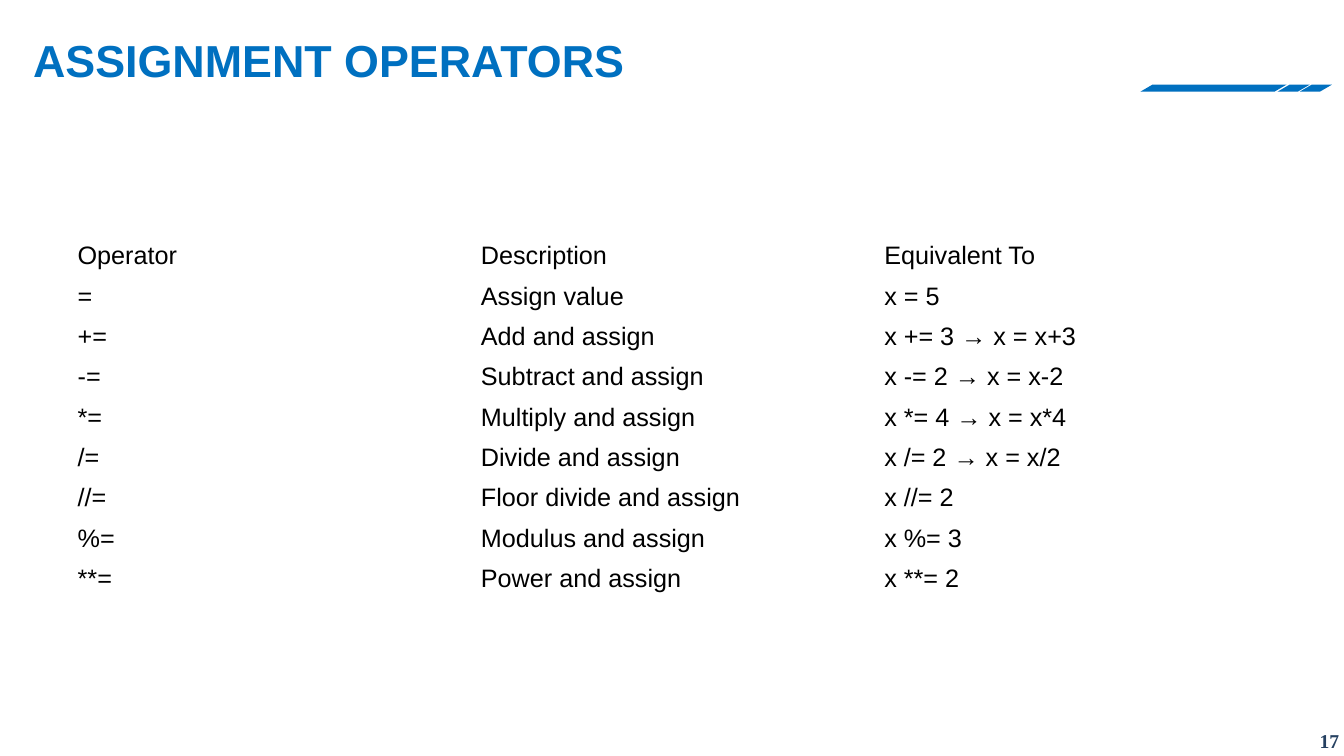
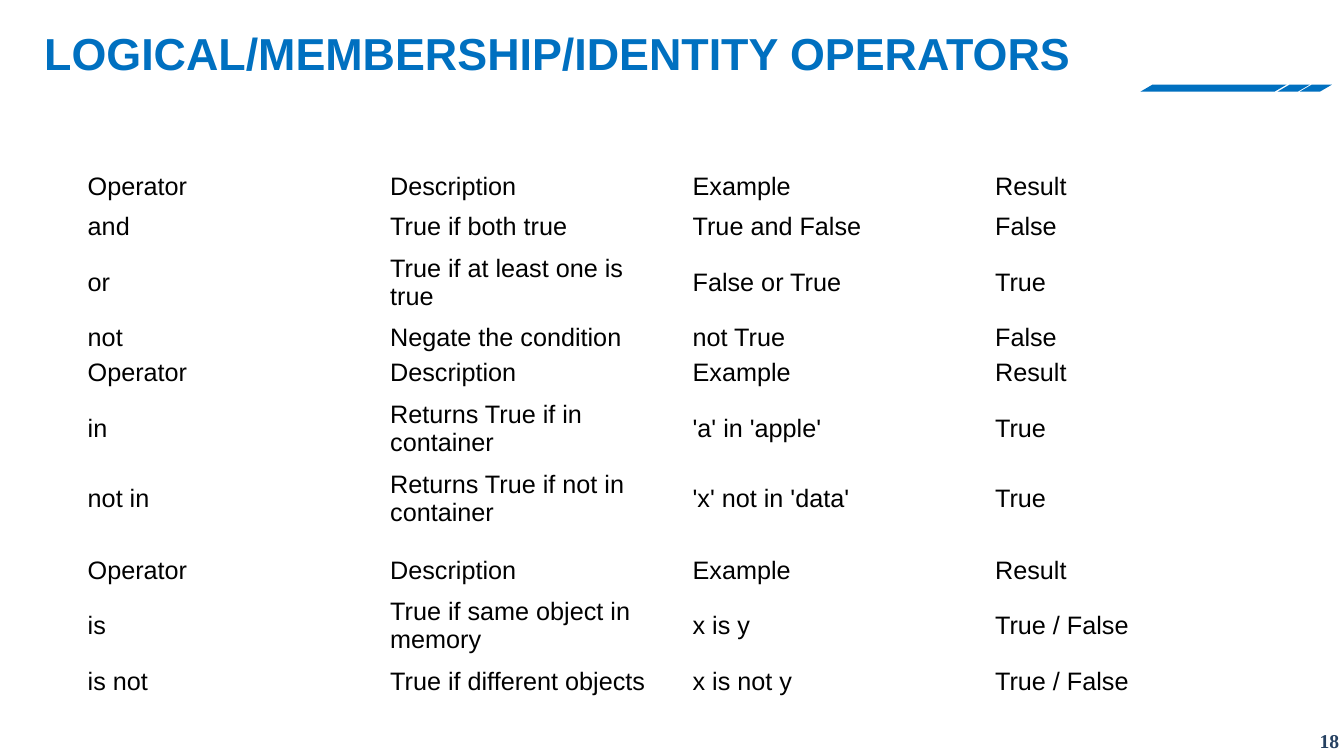
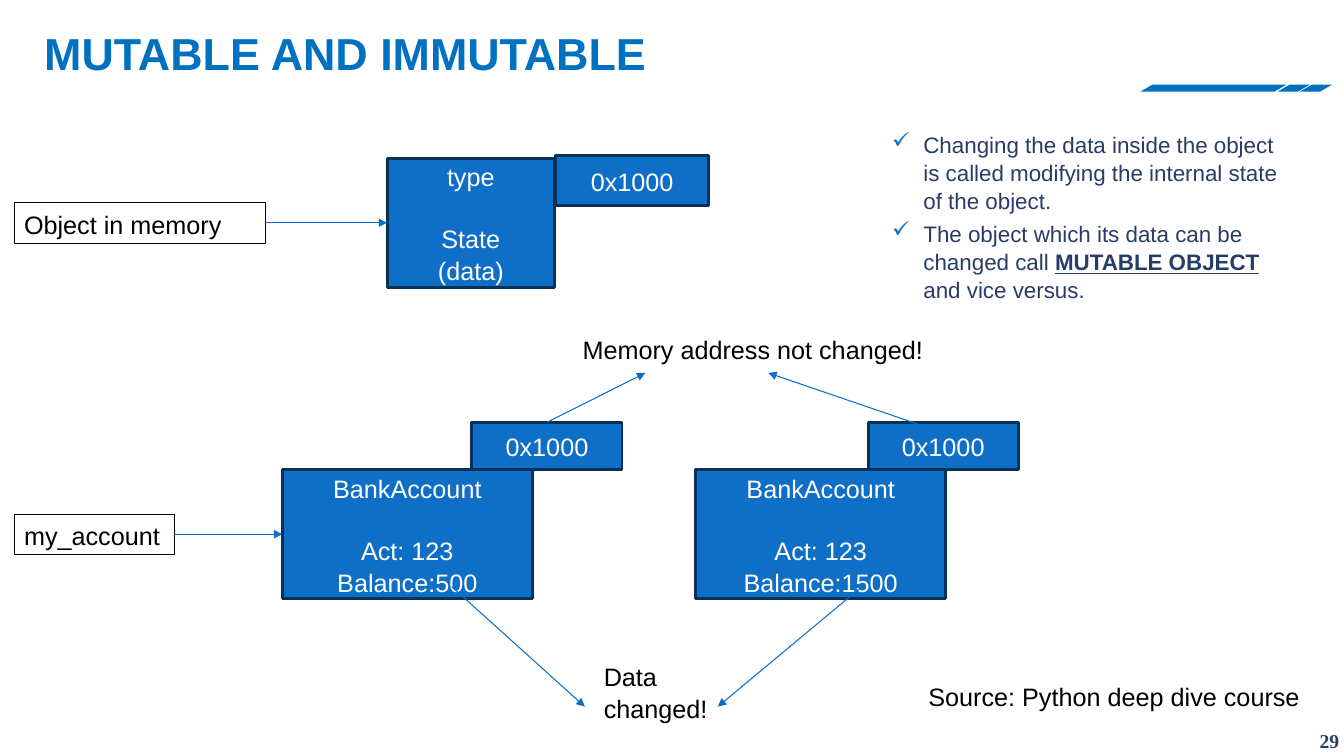
"""Build three slides on Python operators and mutable objects."""
from lxml.etree import SubElement
from pptx import Presentation
from pptx.dml.color import RGBColor
from pptx.enum.shapes import MSO_CONNECTOR, MSO_SHAPE
from pptx.enum.text import MSO_ANCHOR, PP_ALIGN
from pptx.oxml.ns import qn
from pptx.util import Inches, Pt

BLUE = RGBColor(0x00, 0x70, 0xC0)
FILL = RGBColor(0x0F, 0x6F, 0xC6)
EDGE = RGBColor(0x07, 0x31, 0x57)
ARROW = RGBColor(0x0A, 0x6D, 0xC6)
NAVY = RGBColor(0x25, 0x40, 0x61)
SLATE = RGBColor(0x27, 0x3D, 0x68)
BLACK = RGBColor(0x00, 0x00, 0x00)
WHITE = RGBColor(0xFF, 0xFF, 0xFF)
TOP, LEFT, BOTTOM, RIGHT = range(4)


def write(frame, text, size=18, color=BLACK, bold=False, font="Arial", align=PP_ALIGN.LEFT,
          anchor=MSO_ANCHOR.TOP, space=1.05, gap=0, lead=0, strong="", mark=""):
    frame.word_wrap = True
    frame.vertical_anchor = anchor
    for n, line in enumerate(text.split("\n")):
        para = frame.add_paragraph() if n else frame.paragraphs[0]
        para.alignment = align
        para.line_spacing = space
        if n:
            para.space_before = Pt(lead if n == 1 and lead else gap)
        if mark:
            props = para._p.get_or_add_pPr()
            props.set("marL", str(Inches(0.81)))
            props.set("indent", str(Inches(-0.31)))
            tint = SubElement(props, qn("a:buClr"))
            SubElement(tint, qn("a:srgbClr"), val=str(FILL))
            SubElement(props, qn("a:buChar"), char=mark)
        for part in line.partition(strong) if strong else [line]:
            if part:
                run = para.add_run()
                run.text = part
                run.font.name = font
                run.font.size = Pt(size)
                run.font.color.rgb = color
                run.font.bold = bold or part == strong
                run.font.underline = part == strong


class Deck:
    def __init__(self):
        self.show = Presentation()
        self.show.slide_width = Inches(13.33)
        self.show.slide_height = Inches(7.5)

    def start(self, title, page, left=0.34, top=0):
        self.slide = self.show.slides.add_slide(self.show.slide_layouts[6])
        for edge, width in ((12.89, 0.32), (12.67, 0.32), (11.31, 1.45)):
            self.stripe(edge, 0.84, width, 0.07)
        self.note(page, 12.7, 7.18, 0.68, 0.35, size=14, color=NAVY, bold=True,
                  font="Times New Roman", align=PP_ALIGN.RIGHT, space=1)
        self.note(title, left, top, 11.1, 0.84, size=32, color=BLUE, bold=True,
                  anchor=MSO_ANCHOR.BOTTOM, space=1)

    def stripe(self, left, top, width, height, slant=0.12):
        right, base = left + width, top + height
        spots = [(right, top), (left + slant, top), (left, base), (right - slant, base)]
        first, *rest = [(Inches(x), Inches(y)) for x, y in spots]
        pen = self.slide.shapes.build_freeform(*first)
        pen.add_line_segments(rest, close=True)
        shape = pen.convert_to_shape()
        shape.shadow.inherit = False
        shape.fill.solid()
        shape.fill.fore_color.rgb = BLUE
        shape.line.fill.background()

    def note(self, text, left, top, width, height, **style):
        box = self.slide.shapes.add_textbox(*map(Inches, (left, top, width, height)))
        write(box.text_frame, text, **style)

    def rect(self, left, top, width, height, edge, weight):
        shape = self.slide.shapes.add_shape(
            MSO_SHAPE.RECTANGLE, *map(Inches, (left, top, width, height)))
        shape.shadow.inherit = False
        shape.line.color.rgb = edge
        shape.line.width = Pt(weight)
        return shape

    def block(self, text, left, top, width, height):
        shape = self.rect(left, top, width, height, EDGE, 2)
        shape.fill.solid()
        shape.fill.fore_color.rgb = FILL
        write(shape.text_frame, text, color=WHITE, align=PP_ALIGN.CENTER,
              anchor=MSO_ANCHOR.MIDDLE, lead=21.7)
        return shape

    def label(self, text, left, top, width, height=0.4):
        shape = self.rect(left, top, width, height, BLACK, 0.25)
        shape.fill.background()
        write(shape.text_frame, text)
        return shape

    def arrow(self, start=(0, 0), end=(0, 0), source=None, target=None):
        link = self.slide.shapes.add_connector(
            MSO_CONNECTOR.STRAIGHT, *map(Inches, (*start, *end)))
        if source:
            link.begin_connect(*source)
        if target:
            link.end_connect(*target)
        link.line.color.rgb = ARROW
        link.line.width = Pt(0.75)
        props = link._element.spPr
        SubElement(props.find(qn("a:ln")), qn("a:tailEnd"), type="triangle")
        SubElement(props, qn("a:effectLst"))

    def table(self, rows, left, top, width=12):
        count = len(rows[0])
        grid = self.slide.shapes.add_table(
            len(rows), count, Inches(left), Inches(top),
            Inches(width), Inches(0.32 * len(rows))).table
        grid.first_row = grid.horz_banding = False
        for r, row in enumerate(rows):
            for c, text in enumerate(row):
                cell = grid.cell(r, c)
                cell.fill.background()
                cell.vertical_anchor = MSO_ANCHOR.MIDDLE
                write(cell.text_frame, text, anchor=None, space=1)


def assign(deck):
    deck.start("ASSIGNMENT OPERATORS", "17", left=0.23, top=0.07)
    deck.table([
        ("Operator", "Description", "Equivalent To"),
        ("=", "Assign value", "x = 5"),
        ("+=", "Add and assign", "x += 3 → x = x+3"),
        ("-=", "Subtract and assign", "x -= 2 → x = x-2"),
        ("*=", "Multiply and assign", "x *= 4 → x = x*4"),
        ("/=", "Divide and assign", "x /= 2 → x = x/2"),
        ("//=", "Floor divide and assign", "x //= 2"),
        ("%=", "Modulus and assign", "x %= 3"),
        ("**=", "Power and assign", "x **= 2"),
    ], 0.67, 2.34)


def logic(deck):
    deck.start("LOGICAL/MEMBERSHIP/IDENTITY OPERATORS", "18")
    head = ("Operator", "Description", "Example", "Result")
    parts = [
        (1.65, [("and", "True if both true", "True and False", "False"),
                ("or", "True if at least one is true", "False or True", "True"),
                ("not", "Negate the condition", "not True", "False")]),
        (3.5, [("in", "Returns True if in container", "'a' in 'apple'", "True"),
               ("not in", "Returns True if not in container", "'x' not in 'data'", "True")]),
        (5.46, [("is", "True if same object in memory", "x is y", "True / False"),
                ("is not", "True if different objects", "x is not y", "True / False")]),
    ]
    for top, rows in parts:
        deck.table([head, *rows], 0.77, top)


def mutate(deck):
    deck.start("MUTABLE AND IMMUTABLE", "29")
    state = deck.block("type\nState\n(data)", 3.84, 1.57, 1.66, 1.28)
    deck.block("0x1000", 5.51, 1.54, 1.52, 0.5)
    thing = deck.label("Object in memory", 0.14, 2.01, 2.49)
    deck.arrow(source=(thing, RIGHT), target=(state, LEFT))

    old, new = [deck.block(f"BankAccount\nAct: 123\nBalance:{sum_}", left, 4.66, 2.48, 1.28)
                for sum_, left in ((500, 2.8), (1500, 6.9))]
    tag, _ = [deck.block("0x1000", left, 4.19, 1.49, 0.47) for left in (4.68, 8.61)]
    name = deck.label("my_account", 0.14, 5.1, 1.59)
    deck.arrow(source=(name, RIGHT), target=(old, LEFT))
    deck.arrow((4.48, 5.82), (5.8, 7.01))
    deck.arrow((8.56, 5.81), (7.12, 7.01))
    deck.arrow(end=(6.4, 3.7), source=(tag, TOP))
    deck.arrow((9.11, 4.21), (7.62, 3.7))

    deck.note("Memory address not changed!", 5.68, 3.25, 3.69, 0.4)
    deck.note("Data changed!", 5.89, 6.5, 1.81, 0.4)
    deck.note("Changing the data inside the object is called modifying the internal state "
              "of the object.\nThe object which its data can be changed call "
              "MUTABLE OBJECT and vice versus.", 8.25, 1.24, 4.59, 1.77,
              size=16, color=SLATE, gap=3.2, strong="MUTABLE OBJECT ", mark="✓")
    deck.note("Source: Python deep dive course", 9.11, 6.7, 4.04, 0.4)


def main():
    deck = Deck()
    for build in (assign, logic, mutate):
        build(deck)
    deck.show.save("out.pptx")


if __name__ == "__main__":
    main()
